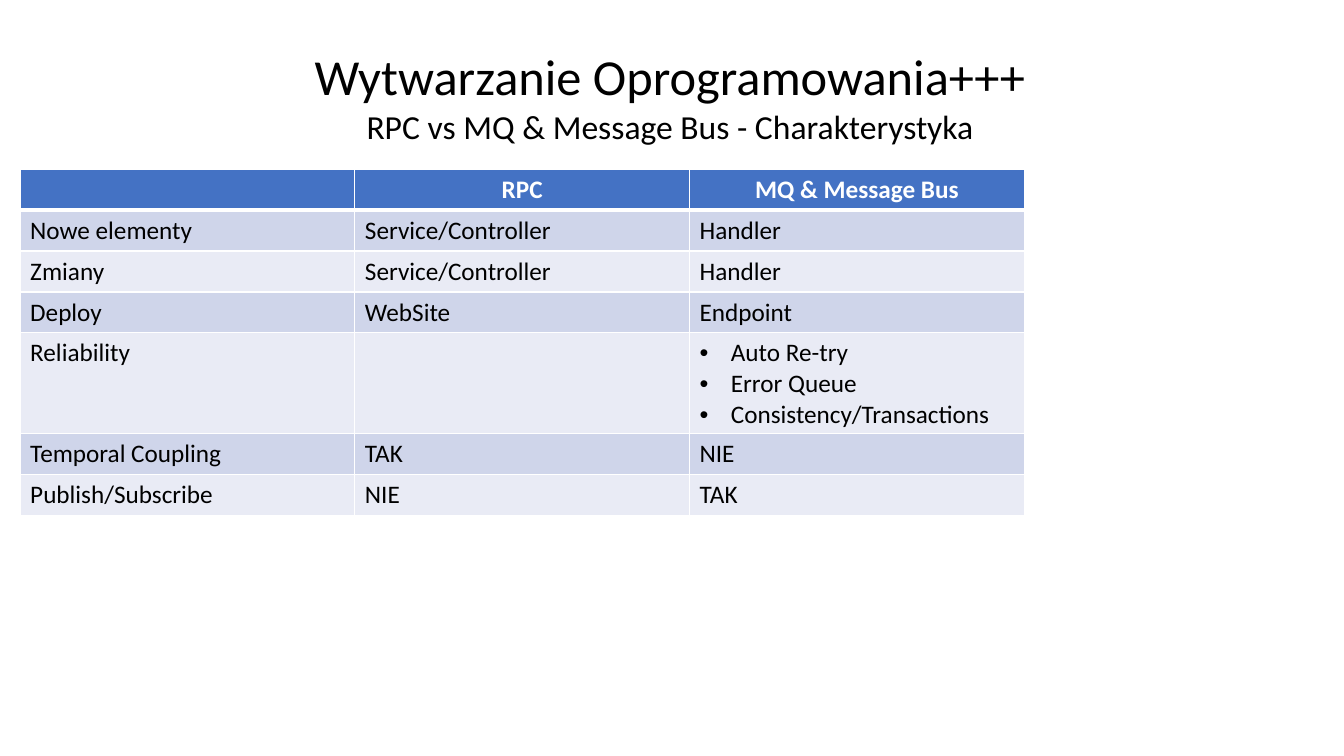
from dataclasses import dataclass

from lxml import etree
from pptx import Presentation
from pptx import util as u
from pptx.dml.color import RGBColor
from pptx.enum import text
from pptx.oxml.ns import qn

HEADING = [("Wytwarzanie Oprogramowania+++", 36),
           ("RPC vs MQ & Message Bus - Charakterystyka", 24)]
COMPARISON = [
    ("", "RPC", "MQ & Message Bus"),
    ("Nowe elementy", "Service/Controller", "Handler"),
    ("Zmiany", "Service/Controller", "Handler"),
    ("Deploy", "WebSite", "Endpoint"),
    ("Reliability", "", ["Auto Re-try", "Error Queue", "Consistency/Transactions"]),
    ("Temporal Coupling", "TAK", "NIE"),
    ("Publish/Subscribe", "NIE", "TAK"),
]


@dataclass(frozen=True)
class Theme:
    font: str = "Calibri"
    ink: str = "000000"
    paper: str = "FFFFFF"
    header: str = "4472C4"
    bands: tuple = ("E9EBF5", "CFD5EA")
    body_size: int = 18
    rule: int = 1
    header_rule: int = 3


THEME = Theme()
WIDTH, HEIGHT = u.Inches(13.33), u.Inches(7.5)
MARGIN = u.Inches(0.2)
COLUMN = u.Inches(3.32)
ROW, LIST_ROW = u.Pt(29.2), u.Pt(72)
INDENT = u.Inches(0.31)


def style(paragraph, size, color, bold=False, centred=False):
    paragraph.alignment = text.PP_ALIGN.CENTER if centred else text.PP_ALIGN.LEFT
    for run in paragraph.runs:
        run.font.name = THEME.font
        run.font.size = u.Pt(size)
        run.font.bold = bold
        run.font.color.rgb = RGBColor.from_string(color)


def add_bullet(paragraph):
    props = paragraph._p.get_or_add_pPr()
    props.set("marL", str(INDENT))
    props.set("indent", str(-INDENT))
    etree.SubElement(props, qn("a:buFont"), typeface="Arial")
    etree.SubElement(props, qn("a:buChar"), char="•")


def add_borders(cell, top, bottom):
    widths = {"lnL": THEME.rule, "lnR": THEME.rule, "lnT": top, "lnB": bottom}
    for side, width in widths.items():
        line = etree.SubElement(cell._tc.get_or_add_tcPr(), qn(f"a:{side}"), w=str(u.Pt(width)))
        fill = etree.SubElement(line, qn("a:solidFill"))
        etree.SubElement(fill, qn("a:srgbClr"), val=THEME.paper)


def add_heading(slide):
    width = u.Inches(7.31)
    box = slide.shapes.add_textbox(u.Inches(2.99), u.Inches(0.4), width, u.Inches(1.11))
    frame = box.text_frame
    frame.word_wrap = False
    frame.auto_size = text.MSO_AUTO_SIZE.SHAPE_TO_FIT_TEXT
    frame.text = "\n".join(line for line, _ in HEADING)
    for paragraph, (_, size) in zip(frame.paragraphs, HEADING):
        style(paragraph, size, THEME.ink, centred=True)


def fill_cell(cell, content, row):
    is_header = row == 0
    is_list = isinstance(content, list)
    cell.text_frame.text = "\n".join(content) if is_list else content
    for paragraph in cell.text_frame.paragraphs:
        style(paragraph, THEME.body_size, THEME.paper if is_header else THEME.ink,
              bold=is_header, centred=is_header)
        if is_list:
            add_bullet(paragraph)
    add_borders(cell, THEME.header_rule if row == 1 else THEME.rule,
                THEME.header_rule if is_header else THEME.rule)
    cell.fill.solid()
    cell.fill.fore_color.rgb = RGBColor.from_string(
        THEME.header if is_header else THEME.bands[row % 2])


def add_comparison(slide):
    columns = len(COMPARISON[0])
    heights = [LIST_ROW if any(isinstance(c, list) for c in entry) else ROW
               for entry in COMPARISON]
    comparison = slide.shapes.add_table(len(COMPARISON), columns, MARGIN, u.Inches(1.68),
                                        COLUMN * columns, sum(heights)).table
    for row, (entry, height) in enumerate(zip(COMPARISON, heights)):
        comparison.rows[row].height = height
        for column, content in enumerate(entry):
            fill_cell(comparison.cell(row, column), content, row)


def main():
    deck = Presentation()
    deck.slide_width, deck.slide_height = WIDTH, HEIGHT
    slide = deck.slides.add_slide(deck.slide_layouts[6])
    add_heading(slide)
    add_comparison(slide)
    deck.save("out.pptx")


if __name__ == "__main__":
    main()
